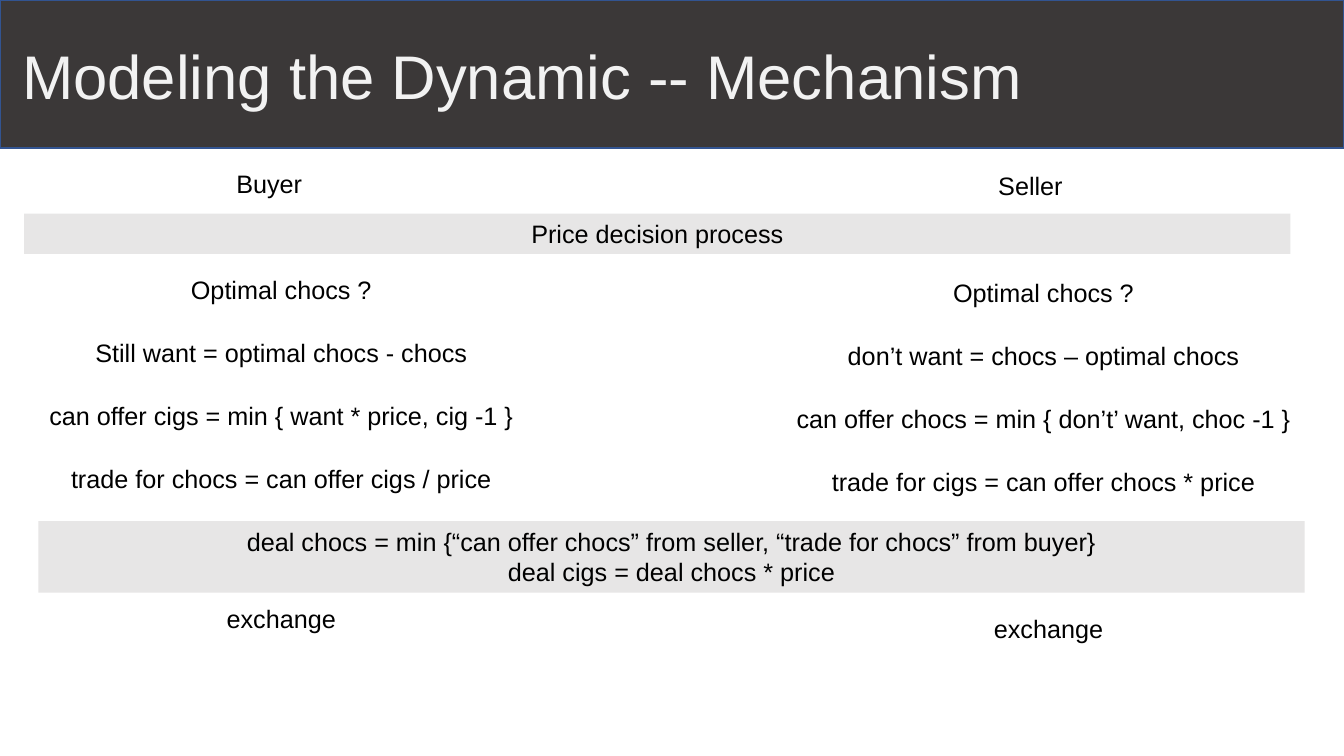
"""Build the slide on the buyer and seller trading mechanism."""
import pptx
import pptx.util
import pptx.dml.color
import pptx.enum.shapes
import pptx.enum.text

Inches = pptx.util.Inches

TITLE = "Modeling the Dynamic -- Mechanism"
NARROW, WIDE = 4.28, 5.1
STEP_WIDTHS = [NARROW, NARROW, WIDE, WIDE]
STEP_PITCH = 0.625
LINE_HEIGHT = 0.4
BAND_WIDTH = 12.56

COLUMNS = [
    {
        "heading": ("Buyer", 2.67, 1.62),
        "center": 2.79,
        "top": 2.67,
        "steps": [
            "Optimal chocs ?",
            "Still want = optimal chocs - chocs",
            "can offer cigs = min { want * price, cig -1 }",
            "trade for chocs = can offer cigs / price",
        ],
        "closing": ("exchange", 2.79, 5.94),
    },
    {
        "heading": ("Seller", 10.22, 1.64),
        "center": 10.35,
        "top": 2.7,
        "steps": [
            "Optimal chocs ?",
            "don’t want = chocs – optimal chocs",
            "can offer chocs = min { don’t’ want, choc -1 }",
            "trade for cigs = can offer chocs * price",
        ],
        "closing": ("exchange", 10.4, 6.04),
    },
]

BANDS = [
    ("Price decision process", 0.24, 2.12, 0.4),
    ("deal chocs = min {“can offer chocs” from seller, “trade for chocs” from buyer}\n"
     "deal cigs = deal chocs * price", 0.38, 5.17, 0.71),
]

THEME = {
    "font": "Arial",
    "title_size": 44,
    "body_size": 18,
    "header": "3B3838",
    "header_line": "325491",
    "title": "F2F2F2",
    "body": "000000",
    "band": "E7E6E6",
}


def color(name):
    return pptx.dml.color.RGBColor.from_string(THEME[name])


def add_rectangle(slide, left, top, width, height, fill, line=None):
    box = slide.shapes.add_shape(
        pptx.enum.shapes.MSO_SHAPE.RECTANGLE,
        Inches(left), Inches(top), Inches(width), Inches(height))
    box.shadow.inherit = False
    box.fill.solid()
    box.fill.fore_color.rgb = color(fill)
    if line:
        box.line.color.rgb = color(line)
        box.line.width = pptx.util.Pt(1)
    else:
        box.line.fill.background()
    return box


def write(box, text, style="body", align="CENTER", anchor="TOP"):
    frame = box.text_frame
    frame.text = text
    frame.word_wrap = True
    frame.vertical_anchor = pptx.enum.text.MSO_ANCHOR[anchor]
    for para in frame.paragraphs:
        para.alignment = pptx.enum.text.PP_ALIGN[align]
        for span in para.runs:
            span.font.name = THEME["font"]
            span.font.size = pptx.util.Pt(THEME[style + "_size"])
            span.font.color.rgb = color(style)


def add_line(slide, text, center, top, width):
    box = slide.shapes.add_textbox(
        Inches(center - width / 2), Inches(top), Inches(width), Inches(LINE_HEIGHT))
    write(box, text)


def main():
    deck = pptx.Presentation()
    deck.slide_width, deck.slide_height = Inches(13.33), Inches(7.5)
    slide = deck.slides.add_slide(deck.slide_layouts[6])

    add_rectangle(slide, 0, 0, 13.33, 1.47, "header", "header_line")
    title = slide.shapes.add_textbox(Inches(0.12), Inches(0.31), Inches(11.45), Inches(0.95))
    write(title, TITLE, "title", "LEFT", "MIDDLE")
    title.text_frame.paragraphs[0].line_spacing = 0.9

    for text, left, top, height in BANDS:
        write(add_rectangle(slide, left, top, BAND_WIDTH, height, "band"), text)

    for column in COLUMNS:
        add_line(slide, *column["heading"], NARROW)
        for index, (text, width) in enumerate(zip(column["steps"], STEP_WIDTHS)):
            add_line(slide, text, column["center"], column["top"] + index * STEP_PITCH, width)
        add_line(slide, *column["closing"], WIDE)

    deck.save("out.pptx")


if __name__ == "__main__":
    main()
